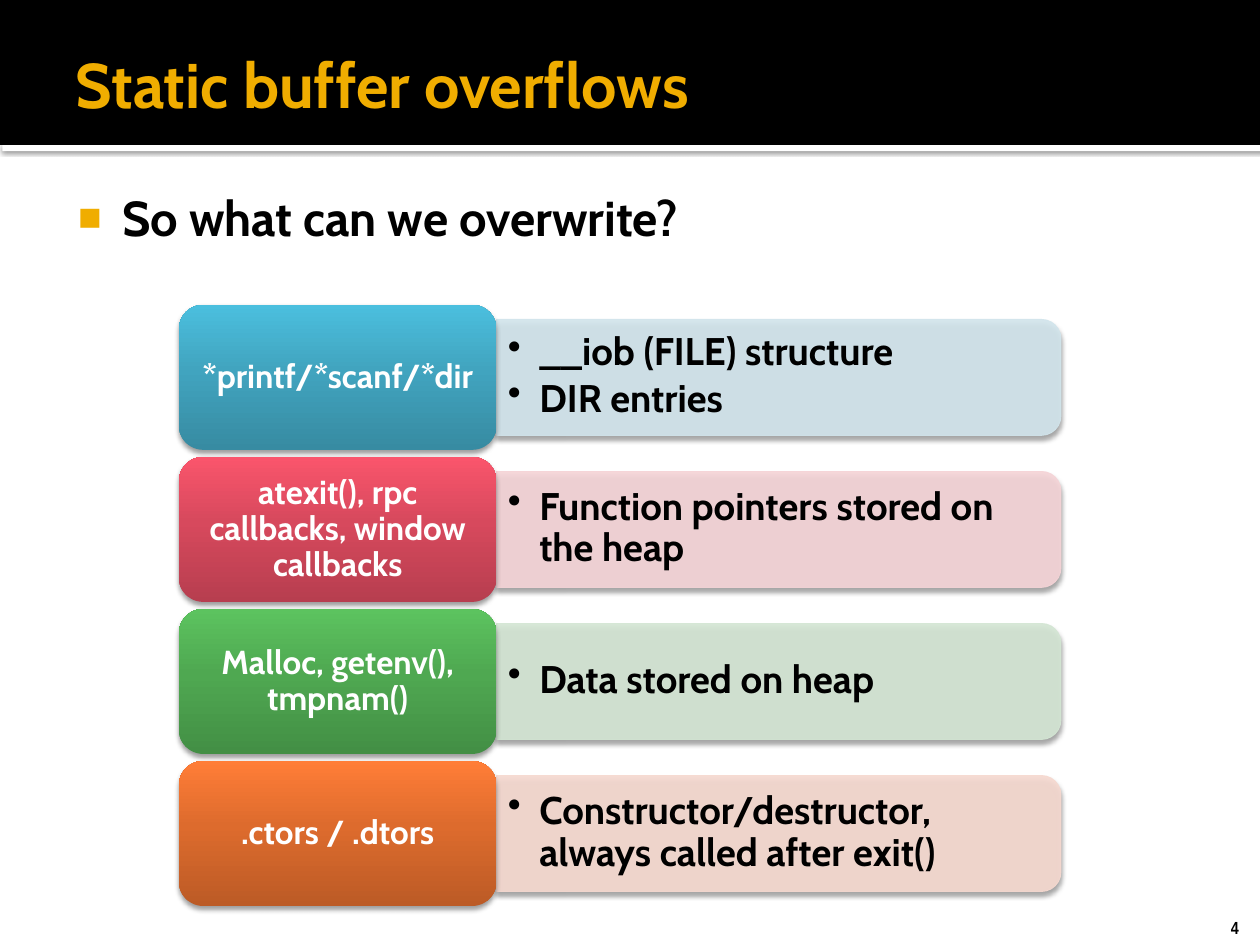
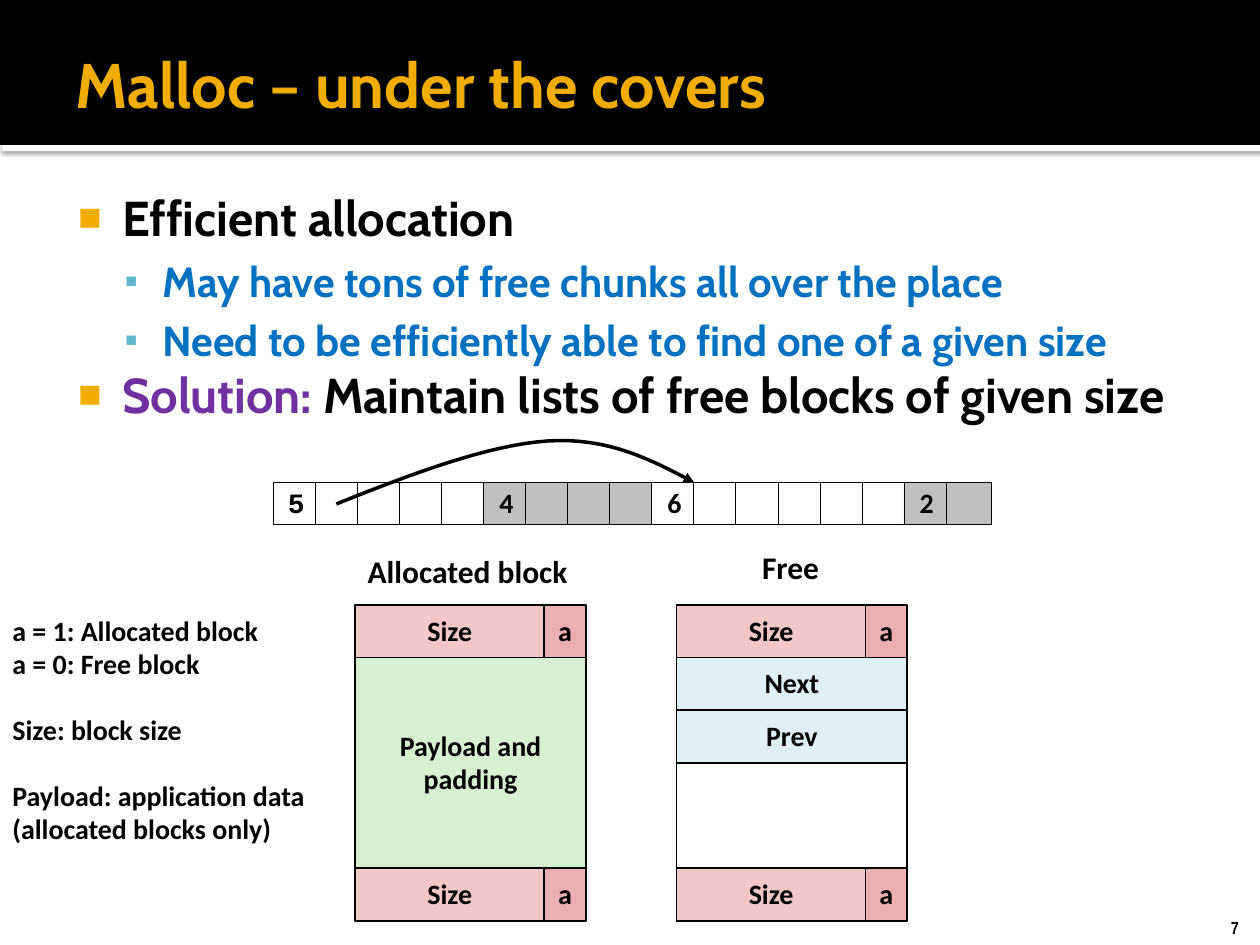
from dataclasses import dataclass

from lxml import etree
from pptx import Presentation
from pptx import util as u
from pptx.dml import color
from pptx.enum import shapes, text
from pptx.oxml import ns


@dataclass(frozen=True)
class Theme:
    """Colours, fonts and type sizes shared by the slides."""
    black: str = "000000"
    white: str = "FFFFFF"
    gold: str = "F0AD00"
    teal: str = "60B5CC"
    blue: str = "0070C0"
    purple: str = "7030A0"
    used: str = "C0C0C0"
    size_field: str = "F1C7C7"
    flag_field: str = "EBAFAF"
    payload: str = "D5F1CF"
    pointer: str = "DFF0F5"
    heading_font: str = "Cabin"
    diagram_font: str = "Calibri"
    code_font: str = "Courier New"
    number_font: str = "Arial Narrow"
    title_size: int = 36
    point_size: int = 28
    subpoint_size: int = 24
    detail_size: int = 22
    tile_size: int = 19
    caption_size: int = 18
    diagram_size: int = 16
    number_size: int = 10


@dataclass(frozen=True)
class Box:
    """A rectangle measured in inches."""
    left: float
    top: float
    width: float
    height: float

    def lengths(self):
        """Return the four lengths for python-pptx."""
        return [u.Inches(n) for n in (self.left, self.top, self.width, self.height)]


THEME = Theme()
LEFT, CENTER = text.PP_ALIGN.LEFT, text.PP_ALIGN.CENTER
MIDDLE, TOP = text.MSO_ANCHOR.MIDDLE, text.MSO_ANCHOR.TOP
RECTANGLE = shapes.MSO_SHAPE.RECTANGLE
NORMAL_INSETS = (0.1, 0.05, 0.1, 0.05)


def rgb(value):
    """Turn a hex string into a colour."""
    return color.RGBColor.from_string(value)


def child(parent, tag, **attributes):
    """Append a DrawingML element with the given attributes."""
    values = {key: str(value) for key, value in attributes.items()}
    return etree.SubElement(parent, ns.qn(f"a:{tag}"), values)


def write(frame, words, new=True, size=THEME.diagram_size, font=THEME.diagram_font,
          ink=THEME.black, align=LEFT, spacing=1.0, before=0, after=0, level=0,
          bullet=None, bullet_ink=None, bullet_percent=100, indent=(0, 0)):
    """Write a bold paragraph, or add a run to the last one when new is False."""
    paragraph = frame.paragraphs[-1]
    if new:
        if paragraph.runs:
            paragraph = frame.add_paragraph()
        paragraph.level, paragraph.alignment = level, align
        paragraph.line_spacing = spacing
        paragraph.space_before, paragraph.space_after = u.Pt(before), u.Pt(after)
        properties = paragraph._p.get_or_add_pPr()
        properties.set("marL", str(u.Inches(indent[0])))
        properties.set("indent", str(u.Inches(indent[1])))
        if bullet:
            child(child(properties, "buClr"), "srgbClr", val=bullet_ink or ink)
            child(properties, "buSzPct", val=bullet_percent * 1000)
            child(properties, "buChar", char=bullet)
        else:
            child(properties, "buNone")
    run = paragraph.add_run()
    run.text = words
    run.font.name, run.font.size, run.font.bold = font, u.Pt(size), True
    run.font.color.rgb = rgb(ink)


def set_frame(shape, insets=NORMAL_INSETS, anchor=TOP, wrap=True):
    """Set the margins, anchor and wrapping of a shape and return its text frame."""
    frame = shape.text_frame
    frame.auto_size = text.MSO_AUTO_SIZE.NONE
    frame.word_wrap, frame.vertical_anchor = wrap, anchor
    (frame.margin_left, frame.margin_top,
     frame.margin_right, frame.margin_bottom) = map(u.Inches, insets)
    return frame


def add_text_box(slide, box, **layout):
    """Add a text box and return its text frame."""
    return set_frame(slide.shapes.add_textbox(*box.lengths()), **layout)


def add_panel(slide, box, fill, line=None, line_width=1, kind=RECTANGLE):
    """Add a flat shape with an optional outline."""
    shape = slide.shapes.add_shape(kind, *box.lengths())
    shape.shadow.inherit = False
    shape.fill.solid()
    shape.fill.fore_color.rgb = rgb(fill)
    if line:
        shape.line.color.rgb = rgb(line)
        shape.line.width = u.Pt(line_width)
    else:
        shape.line.fill.background()
    return shape


def add_shadow(shape, alpha, blur, distance):
    """Give a shape a soft shadow straight below it."""
    effects = shape.element.spPr.find(ns.qn("a:effectLst"))
    shadow = child(effects, "outerShdw", blurRad=u.Pt(blur), dist=u.Pt(distance),
                   dir=90 * 60000, algn="ctr", rotWithShape=0)
    child(child(shadow, "srgbClr", val=THEME.black), "alpha", val=alpha * 1000)


def set_gradient(shape, shades):
    """Replace a solid fill by three shades rising from the bottom."""
    properties = shape.element.spPr
    gradient = etree.Element(ns.qn("a:gradFill"), rotWithShape="1")
    stops = child(gradient, "gsLst")
    for position, shade in zip((0, 55, 100), shades):
        child(child(stops, "gs", pos=position * 1000), "srgbClr", val=shade)
    child(gradient, "lin", ang=270 * 60000, scaled=0)
    properties.replace(properties.find(ns.qn("a:solidFill")), gradient)


def start_slide(presentation, title, number):
    """Add a slide with its bands, title and number; return it with its body frame."""
    slide = presentation.slides.add_slide(presentation.slide_layouts[1])
    heading, body = slide.shapes.title, slide.placeholders[1]
    rule = add_panel(slide, Box(0.02, 1.15, 10, 0.05), THEME.white)
    add_shadow(rule, alpha=60, blur=2.5, distance=0.8)
    band = add_panel(slide, Box(0, 0, 10, 1.15), THEME.black)
    for shape in (rule, band):
        heading.element.addprevious(shape.element)
    for holder, box in ((heading, Box(0.5, 0.17, 9, 0.98)), (body, Box(0.43, 1.39, 9.21, 5.91))):
        holder.left, holder.top, holder.width, holder.height = box.lengths()
    write(set_frame(heading, (0.1, 0.05, 0.05, 0.05), MIDDLE), title,
          size=THEME.title_size, font=THEME.heading_font, ink=THEME.gold)
    write(add_text_box(slide, Box(9.67, 7.23, 0.34, 0.27), wrap=False), number,
          size=THEME.number_size, font=THEME.number_font)
    return slide, set_frame(body, (0.06, 0.1, 0.1, 0.05))


def write_point(frame, words, ink=THEME.black):
    """Write a first-level list point."""
    write(frame, words, size=THEME.point_size, font=THEME.heading_font, ink=ink, bullet="■",
          bullet_ink=THEME.gold, bullet_percent=80, indent=(0.48, -0.35))


def write_subpoint(frame, words):
    """Write a second-level list point."""
    write(frame, words, size=THEME.subpoint_size, font=THEME.heading_font, ink=THEME.blue,
          level=1, before=5, bullet="▪", bullet_ink=THEME.teal, bullet_percent=90,
          indent=(0.8, -0.3))


def add_target_row(slide, box, label, details, shades, tint):
    """Add a coloured tile and, to its right, a tinted panel of bullets."""
    tile_width, panel_height = 2.52, 0.92
    length = box.width - tile_width
    panel_left, middle = box.left + tile_width, box.top + box.height / 2
    upright = Box(panel_left + (length - panel_height) / 2, middle - length / 2,
                  panel_height, length)
    panel = add_panel(slide, upright, tint, tint, 0.5, shapes.MSO_SHAPE.ROUND_2_SAME_RECTANGLE)
    panel.rotation = 90
    for shade in panel.element.spPr.iter(ns.qn("a:srgbClr")):
        child(shade, "alpha", val=90000)
    add_shadow(panel, alpha=38, blur=3.1, distance=2)
    frame = add_text_box(slide, Box(panel_left, middle - 0.42, length - 0.04, 0.83),
                         insets=(0.09, 0.05, 0.09, 0.05), anchor=MIDDLE)
    for detail in details:
        write(frame, detail, size=THEME.detail_size, font=THEME.heading_font, spacing=0.9,
              after=3, bullet="•", indent=(0.25, -0.25))
    tile = add_panel(slide, Box(box.left, box.top, tile_width, box.height), shades[0],
                     kind=shapes.MSO_SHAPE.ROUNDED_RECTANGLE)
    set_gradient(tile, shades)
    add_shadow(tile, alpha=38, blur=3.1, distance=2)
    write(set_frame(tile, (0.08, 0.04, 0.08, 0.04), MIDDLE), label, size=THEME.tile_size,
          font=THEME.heading_font, ink=THEME.white, align=CENTER, spacing=0.9)


def add_targets(slide, box, targets):
    """Spread the target rows evenly over the box."""
    row_height = 1.15
    pitch = (box.height - row_height) / (len(targets) - 1)
    for index, target in enumerate(targets):
        add_target_row(slide, Box(box.left, box.top + index * pitch, box.width, row_height),
                       *target)


def add_field(slide, box, fill, *lines, line_width=1, font=THEME.diagram_font):
    """Add an outlined memory field with centred text."""
    field = add_panel(slide, box, fill, THEME.black, line_width)
    frame = set_frame(field, anchor=MIDDLE, wrap=False)
    for words in lines:
        write(frame, words, font=font, align=CENTER, spacing=0.98)


def add_heap_strip(slide, box, blocks):
    """Add a strip of heap cells in which each block starts with its length."""
    pitch = box.width / sum(length for length, fill, font in blocks)
    left = box.left
    for length, fill, font in blocks:
        for index in range(length):
            lines = [str(length)] if index == 0 else []
            add_field(slide, Box(left, box.top, pitch + 0.03, box.height), fill, *lines,
                      line_width=0.25, font=font)
            left += pitch


def bezier(points, steps=16):
    """Return points along a cubic curve, without its start."""
    curve = []
    for step in range(1, steps + 1):
        t = step / steps
        weights = ((1 - t) ** 3, 3 * t * (1 - t) ** 2, 3 * t * t * (1 - t), t ** 3)
        curve.append(tuple(u.Inches(sum(w * p[axis] for w, p in zip(weights, points)))
                           for axis in (0, 1)))
    return curve


def add_free_link(slide, box):
    """Add the curved arrow from one free block to the next."""
    places = ((0, 0.53), (0.6, 0.29), (1.21, 0.06), (1.68, 0.03),
              (2.16, 0), (2.5, 0.18), (2.84, 0.36))
    knots = [(box.left + x, box.top + y) for x, y in places]
    builder = slide.shapes.build_freeform(*map(u.Inches, knots[0]))
    builder.add_line_segments(bezier(knots[:4]) + bezier(knots[3:]), close=False)
    link = builder.convert_to_shape()
    link.shadow.inherit = False
    link.fill.background()
    link.line.color.rgb, link.line.width = rgb(THEME.black), u.Pt(2)
    child(link.element.spPr.find(ns.qn("a:ln")), "tailEnd", type="triangle")


def add_block_layout(slide, box, rows):
    """Add a block's fields between a header and a footer; rows give their units."""
    unit, size_width = box.height / 6, 1.5
    for top in (box.top, box.top + 5 * unit):
        add_field(slide, Box(box.left, top, size_width, unit), THEME.size_field, "Size")
        add_field(slide, Box(box.left + size_width, top, box.width - size_width, unit),
                  THEME.flag_field, "a")
    top = box.top + unit
    for units, fill, lines in rows:
        add_field(slide, Box(box.left, top, box.width, units * unit), fill, *lines)
        top += units * unit


def add_legend(slide, box, groups):
    """Add the notes on the fields, with a gap between groups."""
    frame = add_text_box(slide, box, wrap=False)
    for group_index, group in enumerate(groups):
        for index, words in enumerate(group):
            gap = 19 if group_index and index == 0 else 0
            write(frame, words, spacing=0.98, before=gap)


def build_overflow_slide(presentation):
    """Build the slide on what an overflow can overwrite."""
    slide, body = start_slide(presentation, "Static buffer overflows", "4")
    write_point(body, "So what can we overwrite?")
    add_targets(slide, Box(1.42, 2.42, 7, 4.77), [
        ("*printf/*scanf/*dir", ["__iob (FILE) structure", "DIR entries"],
         ("378BA2", "41A4BF", "4BBFDE"), "D2E5EC"),
        ("atexit(), rpc callbacks, window callbacks", ["Function pointers stored on the heap"],
         ("B73E4F", "D7495D", "FA556C"), "F5D4D7"),
        ("Malloc, getenv(), tmpnam()", ["Data stored on heap"],
         ("438F45", "4FA851", "5CC35F"), "D4E6D4"),
        (".ctors / .dtors", ["Constructor/destructor, always called after exit()"],
         ("BC5B26", "DD6B2D", "FF7D37"), "F6D9D0"),
    ])


def build_malloc_slide(presentation):
    """Build the slide on free lists and block layouts."""
    slide, body = start_slide(presentation, "Malloc – under the covers", "7")
    write_point(body, "Efficient allocation")
    write_subpoint(body, "May have tons of free chunks all over the place")
    write_subpoint(body, "Need to be efficiently able to find one of a given size")
    write_point(body, "Solution:", ink=THEME.purple)
    write(body, " Maintain lists of free blocks of given size", new=False,
          size=THEME.point_size, font=THEME.heading_font)
    add_block_layout(slide, Box(2.82, 4.8, 1.83, 2.51),
                     [(4, THEME.payload, ["Payload and", "padding"])])
    add_block_layout(slide, Box(5.37, 4.8, 1.83, 2.51),
                     [(1, THEME.pointer, ["Next"]), (1, THEME.pointer, ["Prev"]),
                      (2, THEME.white, [])])
    for caption, box in (("Allocated block", Box(2.82, 4.33, 1.8, 0.4)),
                         ("Free", Box(5.95, 4.3, 0.66, 0.4))):
        write(add_text_box(slide, box, wrap=False), caption, size=THEME.caption_size)
    add_heap_strip(slide, Box(2.17, 3.83, 5.67, 0.33), [
        (5, THEME.white, THEME.code_font), (4, THEME.used, THEME.diagram_font),
        (6, THEME.white, THEME.diagram_font), (2, THEME.used, THEME.diagram_font)])
    add_free_link(slide, Box(2.67, 3.47, 2.84, 0.53))
    add_legend(slide, Box(0, 4.83, 2.55, 2.22), [
        ["a = 1: Allocated block", "a = 0: Free block"], ["Size: block size"],
        ["Payload: application data", "(allocated blocks only)"]])


def main():
    """Build and save the presentation."""
    presentation = Presentation()
    presentation.slide_width, presentation.slide_height = u.Inches(10), u.Inches(7.5)
    build_overflow_slide(presentation)
    build_malloc_slide(presentation)
    presentation.save("out.pptx")


if __name__ == "__main__":
    main()
